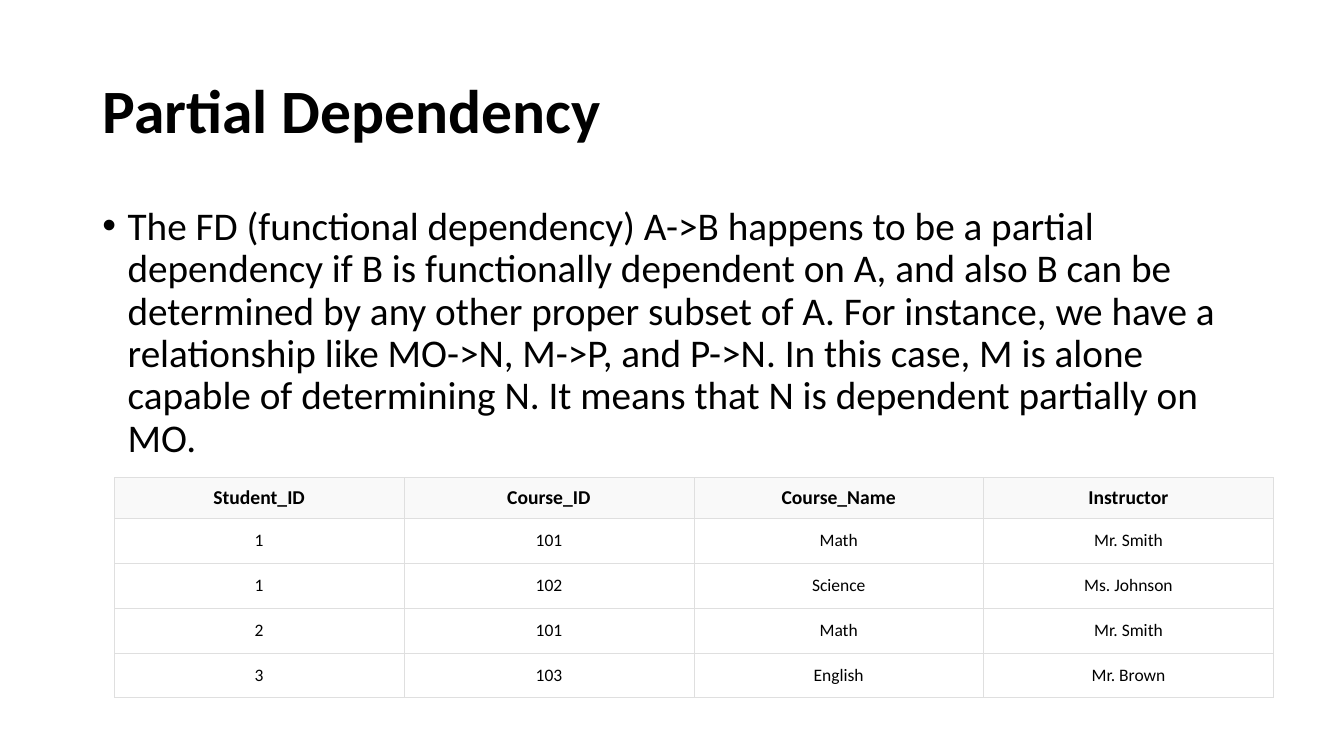
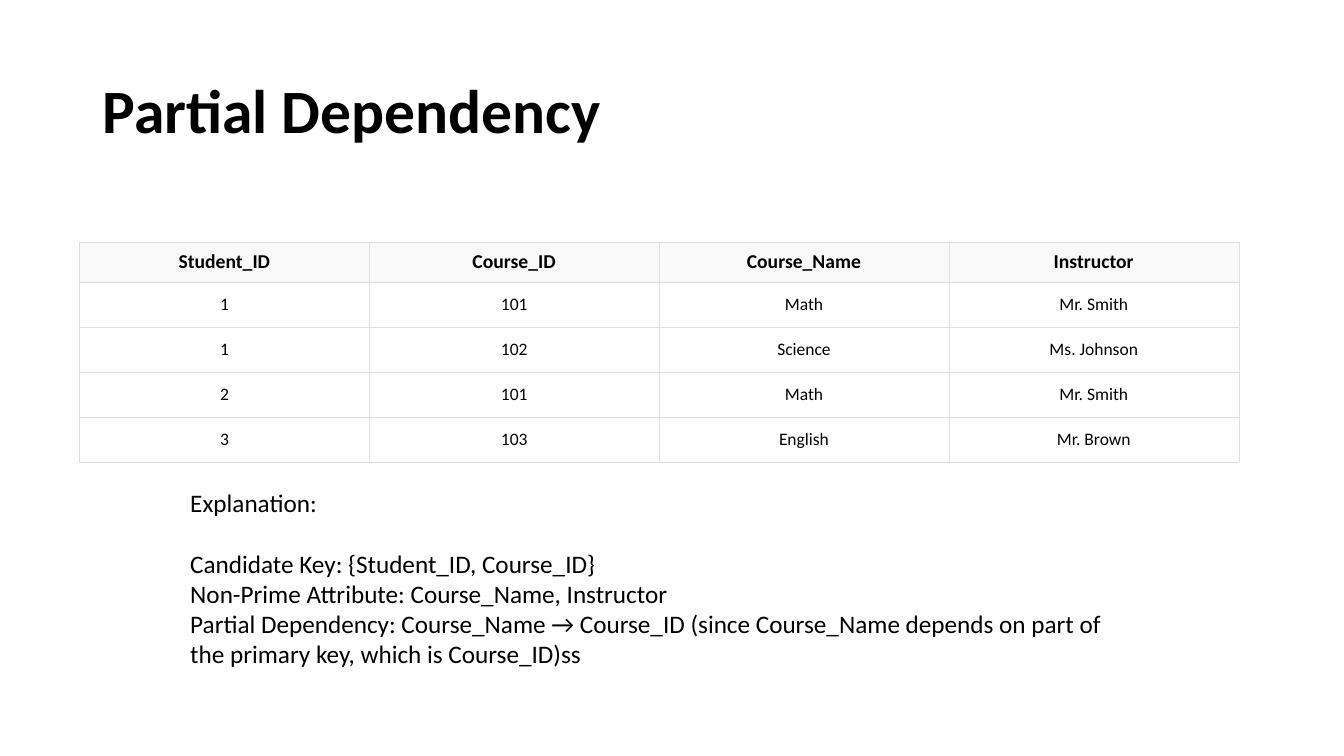
from dataclasses import dataclass

from lxml import etree
from pptx import Presentation
from pptx.dml.color import RGBColor
from pptx.enum.text import MSO_ANCHOR, PP_ALIGN
from pptx.oxml.ns import qn
from pptx.util import Pt

LEFT, CENTER = PP_ALIGN.LEFT, PP_ALIGN.CENTER
TOP, MIDDLE = MSO_ANCHOR.TOP, MSO_ANCHOR.MIDDLE
TITLE_AND_CONTENT, TITLE_ONLY = 1, 5  # layout indexes


@dataclass(frozen=True)
class Theme:
    font: str = "Calibri"
    text: str = "000000"
    header_fill: str = "F9F9F9"
    cell_fill: str = "FFFFFF"
    border: str = "DFDFDF"
    border_width: float = 0.18
    title_size: float = 44
    body_size: float = 28
    note_size: float = 18
    header_size: float = 14
    cell_size: float = 12.5


THEME = Theme()

# Boxes: left, top, width, height in points
SLIDE_SIZE = (960, 540)
TITLE_BOX = (66, 28.8, 828, 104.4)
BODY_BOX = (66, 144, 828, 342.6)
NOTE_BOX = (128.8, 344.2, 683.3, 138.2)
TABLE_SIZE = (828, 157)
HEADER_HEIGHT = 29
CELL_MARGIN_X, HEADER_MARGIN_Y, CELL_MARGIN_Y = 6, 6, 8.4

TITLE = "Partial Dependency"
DEFINITION = (
    "The FD (functional dependency) A->B happens to be a partial dependency "
    "if B is functionally dependent on A, and also B can be determined by any "
    "other proper subset of A. For instance, we have a relationship like "
    "MO->N, M->P, and P->N. In this case, M is alone capable of determining N. "
    "It means that N is dependent partially on MO."
)
ENROLMENTS = [
    ("Student_ID", "Course_ID", "Course_Name", "Instructor"),
    ("1", "101", "Math", "Mr. Smith"),
    ("1", "102", "Science", "Ms. Johnson"),
    ("2", "101", "Math", "Mr. Smith"),
    ("3", "103", "English", "Mr. Brown"),
]
EXPLANATION_HEADING = "Explanation:"
EXPLANATION = [
    "Candidate Key: {Student_ID, Course_ID}",
    "Non-Prime Attribute: Course_Name, Instructor",
    "Partial Dependency: Course_Name → Course_ID (since Course_Name depends "
    "on part of the primary key, which is Course_ID)ss",
]


def write(paragraph, text, *, size, bold=False, align=LEFT,
          line_spacing=None, before=0, after=0):
    """Fill one paragraph with formatted text."""
    paragraph.alignment = align
    paragraph.space_before, paragraph.space_after = Pt(before), Pt(after)
    if line_spacing:
        paragraph.line_spacing = line_spacing
    run = paragraph.add_run()
    run.text = text
    run.font.name = THEME.font
    run.font.size = Pt(size)
    run.font.bold = bold
    run.font.color.rgb = RGBColor.from_string(THEME.text)


def place(shape, box):
    shape.left, shape.top, shape.width, shape.height = map(Pt, box)


def set_bullet(paragraph, indent):
    props = paragraph._p.get_or_add_pPr()
    props.set("marL", str(Pt(indent)))
    props.set("indent", str(-Pt(indent)))
    etree.SubElement(props, qn("a:buFont"), typeface="Arial")
    etree.SubElement(props, qn("a:buChar"), char="•")


def set_borders(cell):
    props = cell._tc.get_or_add_tcPr()
    for index, side in enumerate(("lnL", "lnR", "lnT", "lnB")):
        line = etree.Element(qn(f"a:{side}"), w=str(Pt(THEME.border_width)))
        fill = etree.SubElement(line, qn("a:solidFill"))
        etree.SubElement(fill, qn("a:srgbClr"), val=THEME.border)
        props.insert(index, line)


def add_title(slide, box):
    title = slide.shapes.title
    place(title, box)
    title.text_frame.vertical_anchor = MIDDLE
    write(title.text_frame.paragraphs[0], TITLE, size=THEME.title_size,
          bold=True, line_spacing=0.9)


def add_definition(slide, box):
    body = slide.placeholders[1]
    place(body, box)
    body.text_frame.vertical_anchor = TOP
    paragraph = body.text_frame.paragraphs[0]
    write(paragraph, DEFINITION, size=THEME.body_size,
          line_spacing=0.9, before=10)
    set_bullet(paragraph, 18)


def add_enrolments(slide, left, top):
    width, height = TABLE_SIZE
    row_count, column_count = len(ENROLMENTS), len(ENROLMENTS[0])
    table = slide.shapes.add_table(row_count, column_count, Pt(left), Pt(top),
                                   Pt(width), Pt(height)).table
    table.first_row = table.horz_banding = False
    row_height = (height - HEADER_HEIGHT) / (row_count - 1)
    for row_index, values in enumerate(ENROLMENTS):
        header = row_index == 0
        table.rows[row_index].height = Pt(HEADER_HEIGHT if header else row_height)
        margin_y = Pt(HEADER_MARGIN_Y if header else CELL_MARGIN_Y)
        fill = THEME.header_fill if header else THEME.cell_fill
        for column_index, value in enumerate(values):
            cell = table.cell(row_index, column_index)
            cell.margin_left = cell.margin_right = Pt(CELL_MARGIN_X)
            cell.margin_top = cell.margin_bottom = margin_y
            cell.vertical_anchor = MIDDLE
            cell.fill.solid()
            cell.fill.fore_color.rgb = RGBColor.from_string(fill)
            set_borders(cell)
            write(cell.text_frame.paragraphs[0], value, bold=header, align=CENTER,
                  size=THEME.header_size if header else THEME.cell_size)


def add_explanation(slide, box):
    frame = slide.shapes.add_textbox(*map(Pt, box)).text_frame
    frame.word_wrap = True
    write(frame.paragraphs[0], EXPLANATION_HEADING, size=THEME.note_size, after=22)
    for line in EXPLANATION:
        write(frame.add_paragraph(), line, size=THEME.note_size)


def build_definition_slide(prs):
    slide = prs.slides.add_slide(prs.slide_layouts[TITLE_AND_CONTENT])
    add_title(slide, TITLE_BOX)
    add_definition(slide, BODY_BOX)
    add_enrolments(slide, 81.6, 341)


def build_explanation_slide(prs):
    slide = prs.slides.add_slide(prs.slide_layouts[TITLE_ONLY])
    add_title(slide, TITLE_BOX)
    add_enrolments(slide, 56.8, 172.8)
    add_explanation(slide, NOTE_BOX)


def main():
    prs = Presentation()
    prs.slide_width, prs.slide_height = map(Pt, SLIDE_SIZE)
    build_definition_slide(prs)
    build_explanation_slide(prs)
    prs.save("out.pptx")


if __name__ == "__main__":
    main()
